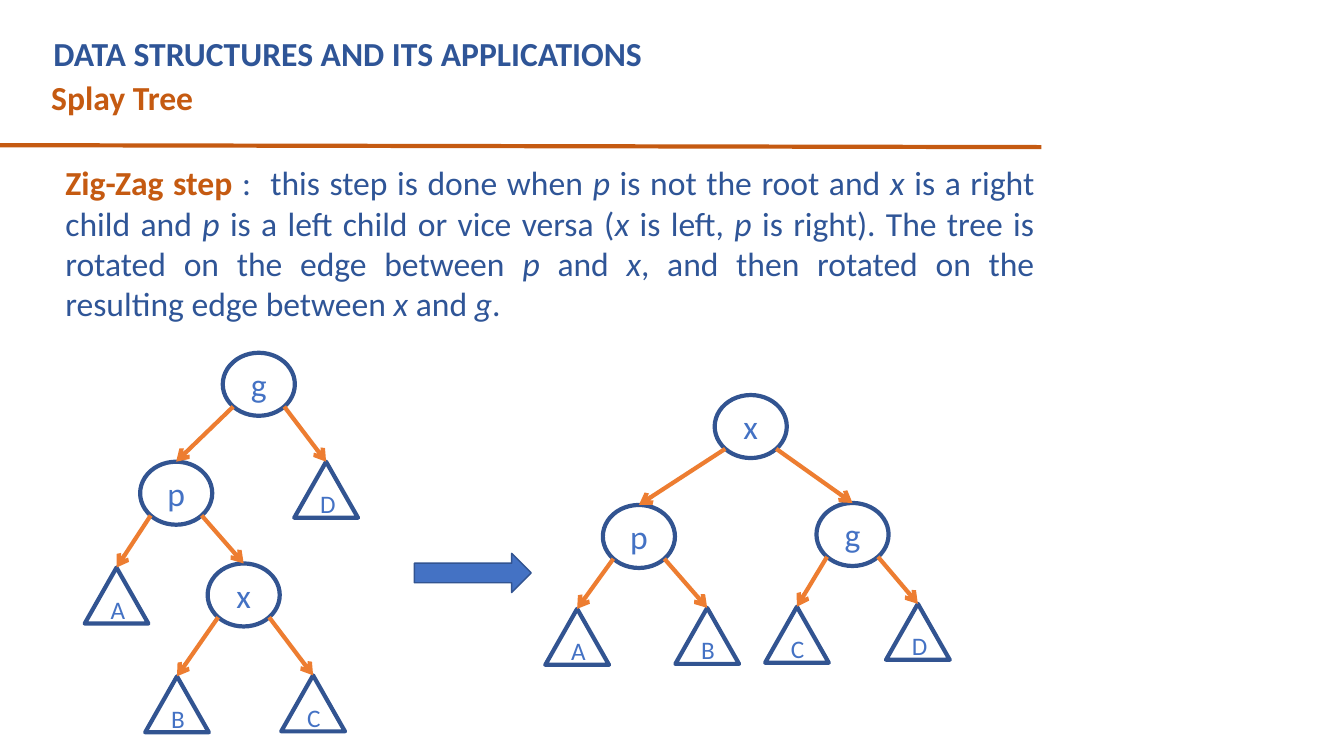
from math import sqrt

from pptx import Presentation
from pptx.dml.color import RGBColor
from pptx.enum.shapes import MSO_CONNECTOR as Connector, MSO_SHAPE as Shape
from pptx.enum.text import MSO_ANCHOR as Anchor, PP_ALIGN as Align
from pptx.oxml.ns import qn
from pptx.util import Pt
from lxml.etree import SubElement

NAVY = RGBColor(0x2F, 0x55, 0x97)
OUTLINE = RGBColor(0x32, 0x54, 0x91)
BLUE = RGBColor(0x44, 0x72, 0xC4)
RUST = RGBColor(0xC5, 0x5A, 0x11)
ORANGE = RGBColor(0xED, 0x7D, 0x31)


def add_text(paragraph, text, size=24, color=NAVY, bold=False, italic=False):
    run = paragraph.add_run()
    run.text = text
    font = run.font
    font.name, font.size, font.bold, font.italic = "Calibri", Pt(size), bold, italic
    font.color.rgb = color


def add_line(shapes, start, end, color, arrow=False):
    line = shapes.add_connector(Connector.STRAIGHT, *(Pt(value) for value in start + end))
    line.line.color.rgb = color
    line.line.width = Pt(3)
    properties = line._element.spPr
    if arrow:
        SubElement(properties.find(qn("a:ln")), qn("a:tailEnd"), type="arrow")
    SubElement(properties, qn("a:effectLst"))


presentation = Presentation()
presentation.slide_width, presentation.slide_height = Pt(960), Pt(540)
slide = presentation.slides.add_slide(presentation.slide_layouts[5])

# Course title and topic
title = slide.shapes.title
title.left, title.top, title.width, title.height = Pt(31), Pt(20.2), Pt(590), Pt(36)
title.text_frame.vertical_anchor = Anchor.TOP
heading = title.text_frame.paragraphs[0]
heading.alignment = Align.LEFT
heading.line_spacing = 1.0
add_text(heading, "DATA STRUCTURES AND ITS APPLICATIONS", bold=True)

topic = slide.shapes.add_textbox(Pt(29.5), Pt(51.1), Pt(630), Pt(36))
topic.text_frame.word_wrap = True
add_text(topic.text_frame.paragraphs[0], "Splay Tree", color=RUST, bold=True)

add_line(slide.shapes, (0, 103.7), (743.8, 105.1), RUST)

# Description: every second piece between the bars is italic
description = slide.shapes.add_textbox(Pt(39.6), Pt(115.2), Pt(706.3), Pt(116.6))
frame = description.text_frame
frame.word_wrap = True
frame.vertical_anchor = Anchor.MIDDLE
frame.margin_top = frame.margin_bottom = 0
paragraph = frame.paragraphs[0]
paragraph.alignment = Align.JUSTIFY
paragraph.space_after = Pt(6)
add_text(paragraph, "Zig-Zag step ", color=RUST, bold=True)
explanation = (
    ":  this step is done when |p| is not the root and |x| is a right child and |p"
    "| is a left child or vice versa (|x| is left, |p| is right). The tree is rotated "
    "on the edge between |p| and |x|, and then rotated on the resulting edge between "
    "|x| and |g|."
)
for index, piece in enumerate(explanation.split("|")):
    add_text(paragraph, piece, italic=index % 2 == 1)

# Arrow between the trees
step = slide.shapes.add_shape(Shape.RIGHT_ARROW, Pt(296), Pt(395.3), Pt(83.5), Pt(28))
step.shadow.inherit = False
step.fill.solid()
step.fill.fore_color.rgb = BLUE
step.line.color.rgb = OUTLINE
step.line.width = Pt(1)

# Trees: left and top of each node, then the left and right child of each parent
NODE_WIDTH, NODE_HEIGHT = 51.5, 45
LEAF_WIDTH, LEAF_HEIGHT = 45.5, 40
trees = [
    (
        {"g": (159.1, 252), "p": (100.1, 329.8), "x": (148.3, 402.5), "D": (210.2, 329.8),
         "A": (60.5, 405.4), "B": (103.7, 483.1), "C": (200.9, 482.4)},
        {"g": "pD", "p": "Ax", "x": "BC"},
    ),
    (
        {"x": (510.5, 282.2), "p": (430.6, 360.7), "g": (583.2, 359.3), "A": (389.5, 434.9),
         "B": (482.4, 434.2), "C": (546.5, 433.4), "D": (632.9, 431.3)},
        {"x": "pg", "p": "AB", "g": "CD"},
    ),
]
for nodes, children in trees:
    tree = slide.shapes.add_group_shape()
    tops = {}
    for name, (left, top) in nodes.items():
        if name in children:
            kind, width, height, size = Shape.OVAL, NODE_WIDTH, NODE_HEIGHT, 24
        else:
            kind, width, height, size = Shape.ISOSCELES_TRIANGLE, LEAF_WIDTH, LEAF_HEIGHT, 18
        tops[name] = (left + width / 2, top)
        node = tree.shapes.add_shape(kind, Pt(left), Pt(top), Pt(width), Pt(height))
        node.shadow.inherit = False
        node.fill.background()
        node.line.color.rgb = OUTLINE
        node.line.width = Pt(3)
        node.text_frame.vertical_anchor = Anchor.MIDDLE
        label = node.text_frame.paragraphs[0]
        label.alignment = Align.CENTER
        add_text(label, name, size=size, color=BLUE)

    # Edges leave a parent at 45 degrees and reach the top of the child
    for parent, pair in children.items():
        center, top = tops[parent]
        for side, child in zip((-1, 1), pair):
            start = (center + side * NODE_WIDTH / sqrt(8),
                     top + NODE_HEIGHT / 2 + NODE_HEIGHT / sqrt(8))
            add_line(tree.shapes, start, tops[child], ORANGE, arrow=True)

presentation.save("out.pptx")
